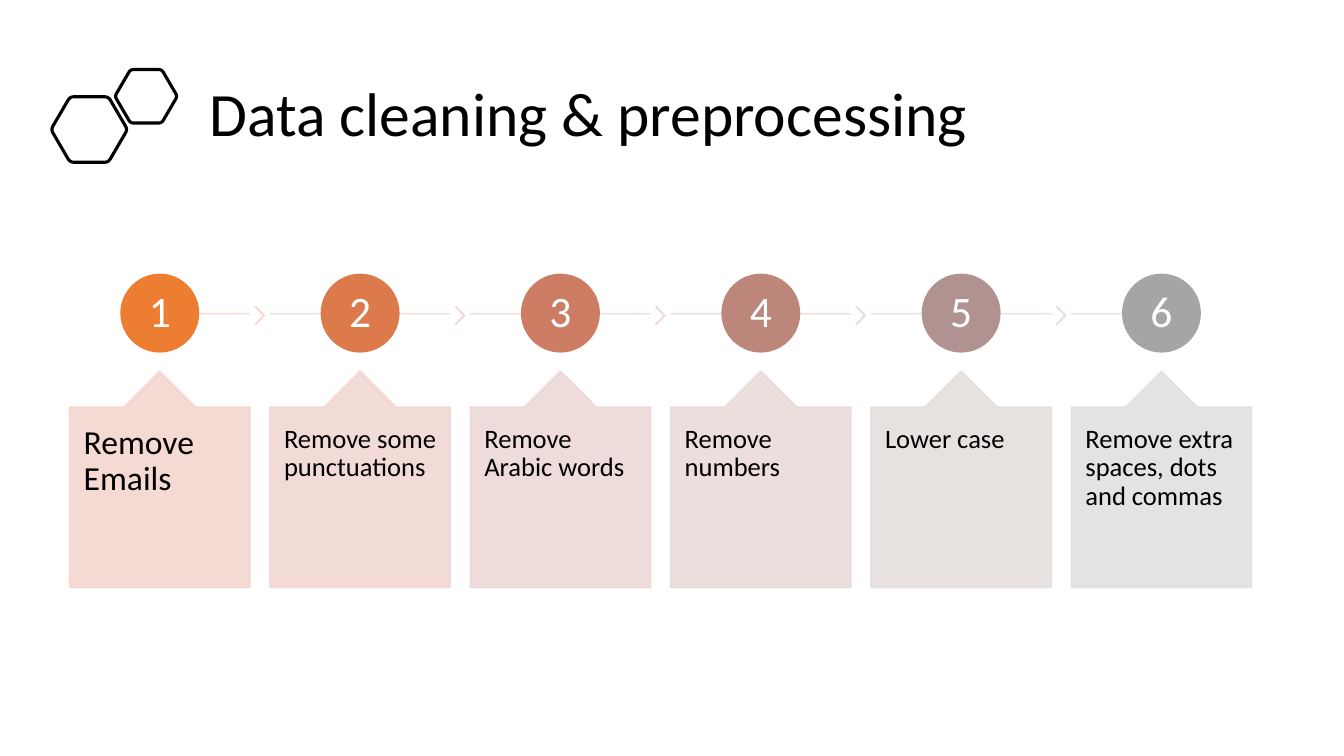
from lxml import etree
from pptx import Presentation
from pptx import util as u
from pptx.dml import color
from pptx.enum import shapes, text
from pptx.oxml import ns

STEPS = [
    ("Remove Emails", 24, "ED7D31", "F8D7CE", "F7D7CF", "F5D7D0"),
    ("Remove some punctuations", 19, "DC7A4B", "F4D7D1", "F3D8D2", "F1D8D3"),
    ("Remove Arabic words", 19, "CC7D64", "F0D8D4", "EFD9D5", "EDD9D6"),
    ("Remove numbers", 19, "BD867B", "ECDAD7", "EBDAD9", "E9DBDA"),
    ("Lower case", 19, "B09391", "E8DCDB", "E7DDDC", "E5DEDD"),
    ("Remove extra spaces, dots and commas", 19, "A5A5A5", "E4DFDE", None, "E1E1E1"),
]
STEP_PITCH = 143.1


def rgb(value):
    return color.RGBColor.from_string(value)


def write(shape, words, size, ink="000000", align=text.PP_ALIGN.LEFT,
          anchor=text.MSO_ANCHOR.TOP, inset=(7.2, 3.6)):
    frame = shape.text_frame
    frame.word_wrap = True
    frame.vertical_anchor = anchor
    frame.margin_left = frame.margin_right = u.Pt(inset[0])
    frame.margin_top = frame.margin_bottom = u.Pt(inset[1])
    line = frame.paragraphs[0]
    line.alignment = align
    line.line_spacing = 0.9
    run = line.add_run()
    run.text = words
    run.font.name = "Calibri"
    run.font.size = u.Pt(size)
    run.font.color.rgb = rgb(ink)


def make_translucent(shape, percent=90):
    for tint in shape.element.spPr.iter(ns.qn("a:srgbClr")):
        etree.SubElement(tint, ns.qn("a:alpha")).set("val", str(percent * 1000))


def solid(slide, kind, left, top, width, height, tint):
    shape = slide.shapes.add_shape(
        kind, u.Pt(left), u.Pt(top), u.Pt(width), u.Pt(height))
    shape.shadow.inherit = False
    shape.fill.solid()
    shape.fill.fore_color.rgb = rgb(tint)
    shape.line.color.rgb = rgb(tint)
    shape.line.width = u.Pt(1)
    return shape


def rail(slide, start, end, y, tint):
    track = slide.shapes.add_connector(
        shapes.MSO_CONNECTOR.STRAIGHT, u.Pt(start), u.Pt(y), u.Pt(end), u.Pt(y))
    track.line.color.rgb = rgb(tint)
    track.line.width = u.Pt(1)
    make_translucent(track)
    etree.SubElement(track.element.spPr, ns.qn("a:effectLst"))


def rounded_hexagon(slide, left, top, width, height, cut=0.1):
    corners = [(left + width * x, top + height * y) for x, y in
               [(0, .5), (.25, 0), (.75, 0), (1, .5), (.75, 1), (.25, 1)]]
    outline = []
    for i, corner in enumerate(corners):
        before, after = corners[i - 1], corners[(i + 1) % 6]
        for t in (0, .25, .5, .75, 1):
            outline.append(tuple(
                u.Pt(c + cut * ((1 - t) ** 2 * (b - c) + t ** 2 * (a - c)))
                for b, c, a in zip(before, corner, after)))
    builder = slide.shapes.build_freeform(*outline[0])
    builder.add_line_segments(outline[1:], close=True)
    hexagon = builder.convert_to_shape()
    hexagon.shadow.inherit = False
    hexagon.fill.background()
    hexagon.line.color.rgb = rgb("000000")
    hexagon.line.width = u.Pt(2.25)


def header(slide, left, top):
    title = slide.shapes.add_textbox(
        u.Pt(left + 106.2), u.Pt(top - 8.7), u.Pt(778.3), u.Pt(84.2))
    write(title, "Data cleaning & preprocessing", 44, anchor=text.MSO_ANCHOR.MIDDLE)
    rounded_hexagon(slide, left, top + 19.4, 54.7, 46.8)
    rounded_hexagon(slide, left + 45.7, top, 44.6, 38.2)


def step(slide, left, top, width, number, first, last):
    words, size, node_tint, rail_tint, chevron_tint, card_tint = STEPS[number - 1]
    middle, diameter = left + width / 2, 55.4
    rail_y = top + diameter / 2 + 0.4
    rail(slide, middle if first else left, middle if last else left + width,
         rail_y, rail_tint)
    if not last:
        chevron = solid(slide, shapes.MSO_SHAPE.CHEVRON,
                        left + width + 3.6, rail_y - 5, 6.7, 12.5, chevron_tint)
        chevron.adjustments[0] = 0.9
        make_translucent(chevron)
    node = solid(slide, shapes.MSO_SHAPE.OVAL,
                 middle - diameter / 2, top, diameter, diameter, node_tint)
    write(node, str(number), 31, "FFFFFF", text.PP_ALIGN.CENTER,
          text.MSO_ANCHOR.MIDDLE, (2.2, 2.2))
    card = solid(slide, shapes.MSO_SHAPE.UP_ARROW_CALLOUT,
                 left, top + 69, width, width * 1.2, card_tint)
    for i, amount in enumerate((0.5, 0.2, 0.2, 1)):
        card.adjustments[i] = amount
    make_translucent(card)
    write(card, words, size, inset=(10.1, 12.9))


def process(slide, left, top):
    for i in range(len(STEPS)):
        step(slide, left + i * STEP_PITCH, top, 128.9, i + 1,
             first=i == 0, last=i == len(STEPS) - 1)


def main():
    deck = Presentation()
    deck.slide_width, deck.slide_height = u.Pt(960), u.Pt(540)
    slide = deck.slides.add_slide(deck.slide_layouts[6])
    header(slide, 36.4, 49.7)
    process(slide, 49.7, 196)
    deck.save("out.pptx")


if __name__ == "__main__":
    main()
